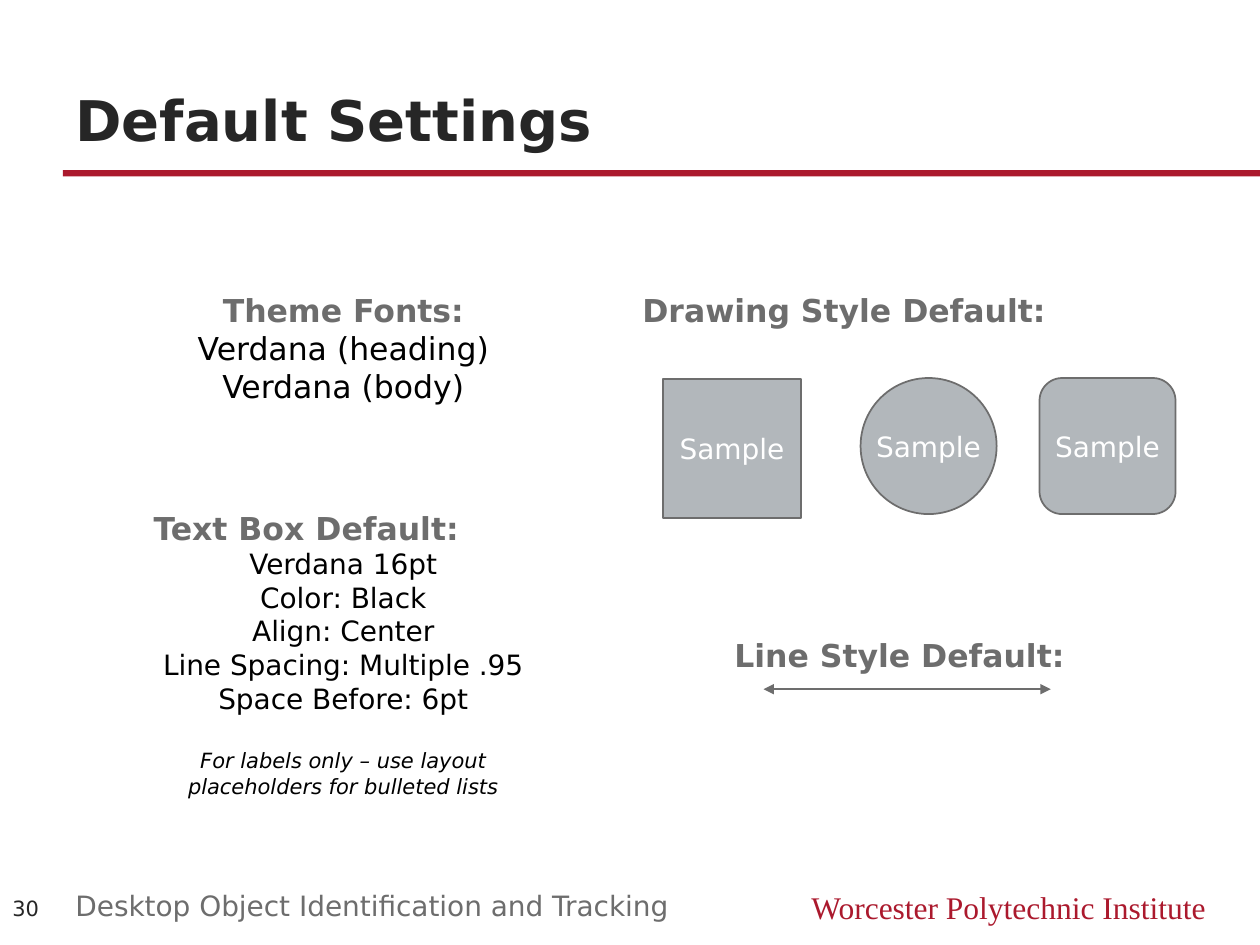
from lxml.etree import SubElement
from pptx import Presentation
from pptx.dml.color import RGBColor
from pptx.enum.shapes import MSO_CONNECTOR as Connector, MSO_SHAPE as Shape
from pptx.enum.text import MSO_ANCHOR as Anchor, PP_ALIGN as Align
from pptx.oxml.ns import qn
from pptx.util import Inches, Pt

UNIT = 0.5  # inches per grid cell: 20 columns by 15 rows


def color(hex_value):
    return RGBColor.from_string(hex_value)


def cells(*counts):
    return [Inches(count * UNIT) for count in counts]


class SettingsSlide:
    FONT, SERIF = "DejaVu Sans", "Times New Roman"
    RED, INK, BLACK, WHITE = "AB192D", "262626", "000000", "FFFFFF"
    GRAY, SILVER = "6D6D6D", "B2B7BB"

    def __init__(self, deck):
        self.slide = deck.slides.add_slide(deck.slide_layouts[6])

    def style(self, para, size, hex_value, bold=False, italic=False,
              align=Align.LEFT, font=FONT, before=0):
        para.alignment = align
        para.space_before = Pt(before)
        para.font.name, para.font.size = font, Pt(size)
        para.font.bold, para.font.italic = bold, italic
        para.font.color.rgb = color(hex_value)

    def text(self, place, lines, anchor=Anchor.TOP):
        """Add a text box; each line is (words, style options)."""
        frame = self.slide.shapes.add_textbox(*cells(*place)).text_frame
        frame.word_wrap = True
        frame.vertical_anchor = anchor
        for index, (words, options) in enumerate(lines):
            para = frame.add_paragraph() if index else frame.paragraphs[0]
            para.text = words
            self.style(para, **options)

    def shape(self, kind, place, fill, line=None, label=None):
        box = self.slide.shapes.add_shape(kind, *cells(*place))
        box.shadow.inherit = False
        box.fill.solid()
        box.fill.fore_color.rgb = color(fill)
        if line:
            box.line.color.rgb = color(line)
            box.line.width = Pt(1)
        else:
            box.line.fill.background()
        if label:
            frame = box.text_frame
            frame.word_wrap = False
            frame.vertical_anchor = Anchor.MIDDLE
            frame.paragraphs[0].text = label
            self.style(frame.paragraphs[0], 16, self.WHITE, align=Align.CENTER)

    def double_arrow(self, left, right, row):
        arrow = self.slide.shapes.add_connector(
            Connector.STRAIGHT, *cells(left, row, right, row))
        arrow.line.color.rgb = color(self.GRAY)
        arrow.line.width = Pt(1.5)
        outline = arrow.line._get_or_add_ln()
        for end in ("a:headEnd", "a:tailEnd"):
            SubElement(outline, qn(end), type="triangle")
        SubElement(arrow._element.spPr, qn("a:effectLst"))


def main():
    deck = Presentation()
    deck.slide_width, deck.slide_height = cells(20, 15)
    page = SettingsSlide(deck)

    heading = dict(size=18, hex_value=page.GRAY, bold=True)
    body = dict(size=16, hex_value=page.BLACK, align=Align.CENTER)
    note = {**body, "size": 12, "italic": True, "before": 19}

    # Title and rule
    page.shape(Shape.RECTANGLE, (1, 2.7, 19, 0.1), page.RED)
    page.text((1, 0.76, 18, 1.76),
              [("Default Settings", dict(size=32, hex_value=page.INK, bold=True))],
              Anchor.BOTTOM)

    # Left column: fonts and text box defaults
    left, width = 2.24, 6.42
    theme_font = {**body, "size": 18}
    page.text((left, 4.52, width, 2.02), [
        ("Theme Fonts:", {**heading, "align": Align.CENTER}),
        ("Verdana (heading)", theme_font),
        ("Verdana (body)", theme_font),
    ])
    settings = ["Verdana 16pt", "Color: Black", "Align: Center",
                "Line Spacing: Multiple .95", "Space Before: 6pt"]
    page.text((left, 7.98, width, 4.84), [
        ("Text Box Default:", heading),
        *[(setting, body) for setting in settings],
        ("For labels only – use layout placeholders for bulleted lists", note),
    ])

    # Right column: drawing samples
    page.text((10, 4.52, 8.8, 1.26), [("Drawing Style Default:", heading)])
    samples = [(Shape.RECTANGLE, 10.52, 6.02, 2.2),
               (Shape.OVAL, 13.66, 6, 2.16),
               (Shape.ROUNDED_RECTANGLE, 16.5, 6, 2.16)]
    for kind, column, row, side in samples:
        page.shape(kind, (column, row, side, side), page.SILVER, page.GRAY, "Sample")

    # Right column: line sample
    page.text((11.46, 10, 5.88, 1.26), [("Line Style Default:", heading)])
    page.double_arrow(12.12, 16.68, 10.94)

    # Footer
    page.text((0, 13.98, 1, 0.86), [("30", dict(size=12, hex_value=page.INK))],
              Anchor.MIDDLE)
    page.text((1, 14, 11.16, 0.66), [("Desktop Object Identification and Tracking",
                                     dict(size=16, hex_value=page.GRAY))])
    page.text((12, 14, 7.34, 0.8), [("Worcester Polytechnic Institute", dict(
        size=18, hex_value=page.RED, align=Align.RIGHT, font=page.SERIF))])

    deck.save("out.pptx")


if __name__ == "__main__":
    main()
